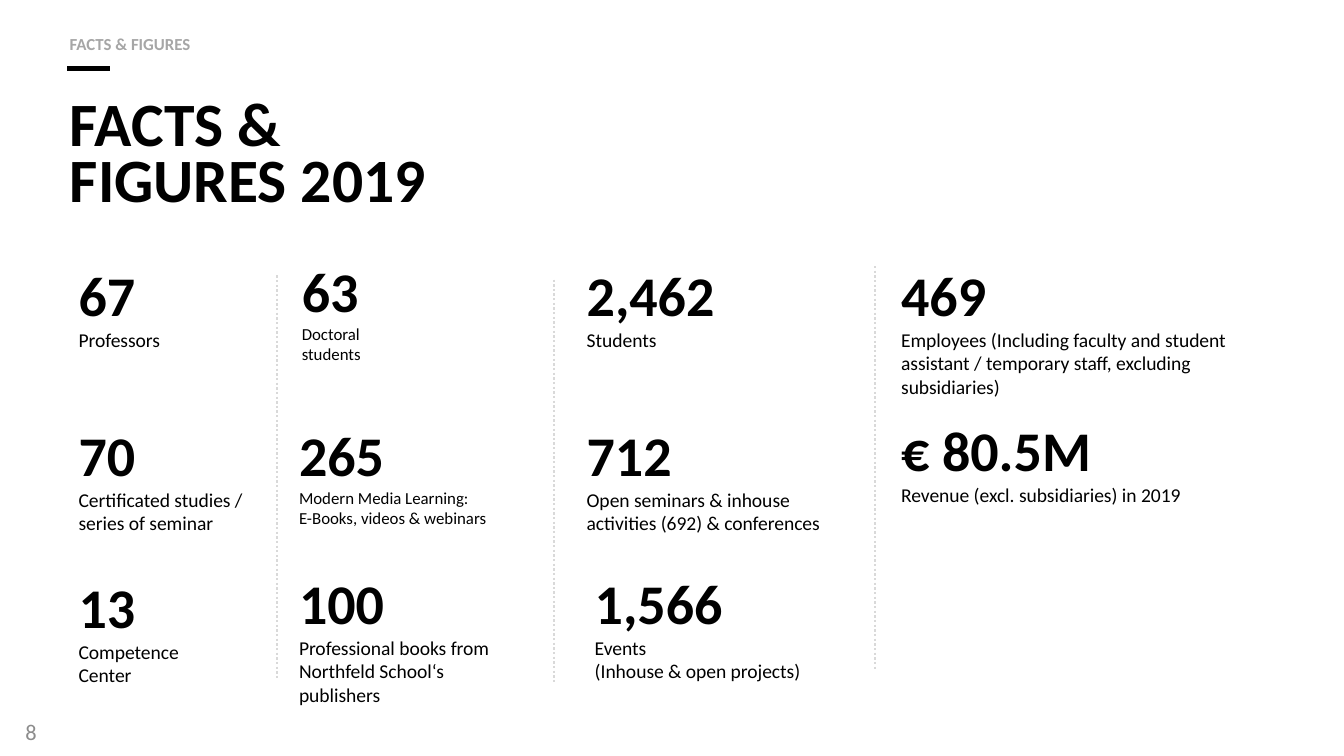
from copy import deepcopy

from pptx import Presentation
from pptx.dml.color import RGBColor
from pptx.enum import dml, shapes, text
from pptx.oxml.ns import qn
from pptx.util import Inches, Pt

BLACK, GRAY, LABEL_GRAY, NUMBER_GRAY = "000000", "D9D9D9", "A6A6A6", "8C8C8C"


def add_text(paragraph, content, size, color=BLACK, bold=False):
    """Append runs to the paragraph, with a matching line break at each newline."""
    for index, line in enumerate(content.split("\n")):
        if index:
            paragraph.add_line_break()
            line_break = paragraph._p.findall(qn("a:br"))[-1]
        run = paragraph.add_run()
        run.text = line
        run.font.name = "Calibri"
        run.font.size = Pt(size)
        run.font.bold = bold
        run.font.color.rgb = RGBColor.from_string(color)
        if index:
            line_break.append(deepcopy(run._r.rPr))


def add_line(x, top, end_x, bottom, color, width):
    line = slide.shapes.add_connector(
        shapes.MSO_CONNECTOR.STRAIGHT, Inches(x), Inches(top), Inches(end_x), Inches(bottom))
    line.line.color.rgb = RGBColor.from_string(color)
    line.line.width = Pt(width)
    line._element.spPr.append(line._element.spPr.makeelement(qn("a:effectLst"), {}))
    return line


presentation = Presentation()
presentation.slide_width = Inches(10)
presentation.slide_height = Inches(10 * 9 / 16)
slide = presentation.slides.add_slide(presentation.slide_layouts[5])

# Header: section label, short rule and title
label = slide.shapes.add_textbox(Inches(0.42), Inches(0.22), Inches(4.52), Inches(0.23))
label.text_frame.word_wrap = True
label_paragraph = label.text_frame.paragraphs[0]
label_paragraph.line_spacing = 0.9
label_paragraph.space_before = Pt(7.5)
add_text(label_paragraph, "FACTS & FIGURES", 9, LABEL_GRAY, bold=True)

add_line(0.5, 0.51, 0.82, 0.51, BLACK, 2.25)

title = slide.shapes.title
title.left, title.top, title.width, title.height = (
    Inches(0.42), Inches(0.75), Inches(9.22), Inches(0.9))
title.text_frame.auto_size = text.MSO_AUTO_SIZE.NONE
title.text_frame.vertical_anchor = text.MSO_ANCHOR.BOTTOM
title_paragraph = title.text_frame.paragraphs[0]
title_paragraph.alignment = text.PP_ALIGN.LEFT
title_paragraph.line_spacing = Pt(30)
add_text(title_paragraph, "FACTS &\nFIGURES 2019", 33, bold=True)

# Dotted column dividers, all of one length
for x, top in [(2.06, 2.05), (4.12, 2.08), (6.51, 1.98)]:
    divider = add_line(x, top, x, top + 3.01, GRAY, 1.25)
    divider.line.dash_style = dml.MSO_LINE.ROUND_DOT

# Key figures: left, top, width, height, figure, caption, caption size
figures = [
    (0.51, 1.9, 0.8, 0.84, "67", "Professors", 10.5),
    (0.51, 3.09, 1.39, 0.84, "70", "Certificated studies / series of seminar", 10.5),
    (0.51, 4.22, 1.39, 0.84, "13", "Competence \nCenter", 10.5),
    (2.17, 1.87, 0.62, 0.84, "63", "Doctoral\nstudents", 9),
    (2.15, 3.09, 1.56, 0.84, "265", "Modern Media Learning: \nE-Books, videos & webinars", 9),
    (2.15, 4.19, 1.86, 0.84, "100",
     "Professional books from Northfeld School‘s publishers", 10.5),
    (4.29, 1.9, 1.49, 0.84, "2,462", "Students", 10.5),
    (4.29, 3.09, 1.97, 1.1, "712",
     "Open seminars & inhouse\nactivities (692) & conferences", 10.5),
    (4.35, 4.19, 1.69, 0.84, "1,566", "Events \n(Inhouse & open projects)", 10.5),
    (6.63, 1.9, 3.01, 0.84, "469", "Employees (Including faculty and student assistant / "
     "temporary staff, excluding subsidiaries)", 10.5),
    (6.63, 3.05, 2.33, 0.84, "€ 80.5M", "Revenue (excl. subsidiaries) in 2019", 10.5),
]
for left, top, width, height, figure, caption, caption_size in figures:
    box = slide.shapes.add_textbox(Inches(left), Inches(top), Inches(width), Inches(height))
    frame = box.text_frame
    frame.word_wrap = True
    frame.margin_left = frame.margin_right = Pt(5.4)
    frame.margin_top = frame.margin_bottom = Inches(0.04)
    paragraph = frame.paragraphs[0]
    paragraph.space_before = Pt(10)
    add_text(paragraph, figure, 30, bold=True)
    paragraph.add_line_break()
    add_text(paragraph, caption, caption_size)

# Page number
number = slide.shapes.add_textbox(Inches(0.09), Inches(5.29), Inches(2.25), Inches(0.3))
number.text_frame.word_wrap = True
number.text_frame.vertical_anchor = text.MSO_ANCHOR.MIDDLE
add_text(number.text_frame.paragraphs[0], "8", 12, NUMBER_GRAY)

presentation.save("out.pptx")
